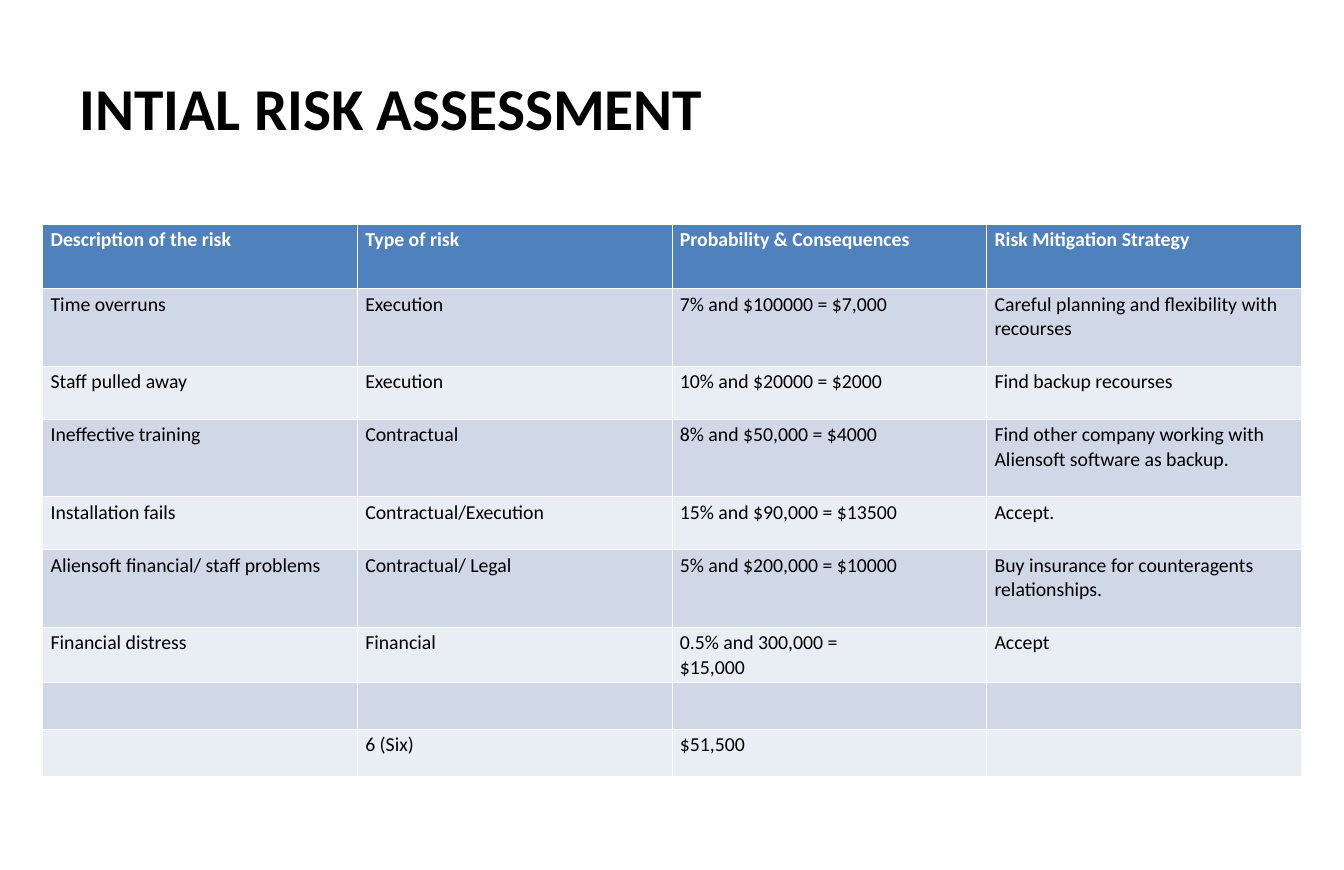
from dataclasses import dataclass
from lxml.etree import SubElement
from pptx import Presentation
from pptx.dml.color import RGBColor as RGB
from pptx.enum.text import MSO_ANCHOR as Anchor
from pptx.oxml.ns import qn
from pptx.util import Inches, Pt

# Content
TITLE = "INTIAL RISK ASSESSMENT"
# Row height in inches, then the cells of the row
ROWS = [
    (0.82, ["Description of the risk", "Type of risk",
            "Probability & Consequences", "Risk Mitigation Strategy"]),
    (0.98, ["Time overruns", "Execution", "7% and $100000 = $7,000",
            "Careful planning and flexibility with recourses"]),
    (0.67, ["Staff pulled away", "Execution", "10% and $20000 = $2000",
            "Find backup recourses"]),
    (0.98, ["Ineffective training", "Contractual", "8% and $50,000 = $4000",
            "Find other company working with Aliensoft software as backup."]),
    (0.67, ["Installation fails", "Contractual/Execution",
            "15% and $90,000 = $13500", "Accept."]),
    (0.98, ["Aliensoft financial/ staff problems", "Contractual/ Legal",
            "5% and $200,000 = $10000",
            "Buy insurance for counteragents relationships."]),
    (0.7, ["Financial distress", "Financial",
           "0.5% and 300,000 =\n$15,000", "Accept"]),
    (0.59, ["", "", "", ""]),
    (0.59, ["", "6 (Six)", "$51,500", ""]),
]
COL = 3.98


@dataclass
class Theme:
    font: str = "Calibri"
    title: int = 54
    body: int = 18
    ink: str = "000000"
    white: str = "FFFFFF"
    head: str = "4F81BD"
    bands: tuple = ("D0D8E8", "E9EDF4")
    thin: float = 0.45
    thick: float = 1.47


THEME = Theme()


def style(frame, size, color, bold):
    for para in frame.paragraphs:
        font = para.font
        font.name, font.size, font.bold = THEME.font, Pt(size), bold
        font.color.rgb = RGB.from_string(color)


def edge(cell, side, width):
    props = cell._tc.get_or_add_tcPr()
    line = SubElement(props, qn(f"a:ln{side}"), w=str(Pt(width)))
    fill = SubElement(line, qn("a:solidFill"))
    SubElement(fill, qn("a:srgbClr"), val=THEME.white)


def add_title(slide):
    box = slide.shapes.add_textbox(
        Inches(0.85), Inches(0.44), Inches(15.3), Inches(1.83))
    frame = box.text_frame
    frame.word_wrap = True
    frame.vertical_anchor = Anchor.MIDDLE
    frame.margin_left = frame.margin_right = Inches(0.16)
    frame.margin_top = frame.margin_bottom = Inches(0.08)
    frame.text = TITLE
    style(frame, THEME.title, THEME.ink, True)


def add_risks(slide):
    count = len(ROWS[0][1])
    high = sum(height for height, _ in ROWS)
    table = slide.shapes.add_table(
        len(ROWS), count, Inches(0.54), Inches(2.83),
        Inches(COL * count), Inches(high)).table
    table.first_row = table.horz_banding = False
    for col in table.columns:
        col.width = Inches(COL)
    for r, (height, texts) in enumerate(ROWS):
        table.rows[r].height = Inches(height)
        head = r == 0
        back = THEME.head if head else THEME.bands[(r - 1) % 2]
        # Thick rule between the header and the first risk
        widths = {"L": THEME.thin, "R": THEME.thin,
                  "T": THEME.thick if r == 1 else THEME.thin,
                  "B": THEME.thick if head else THEME.thin}
        for c, text in enumerate(texts):
            cell = table.cell(r, c)
            for side, width in widths.items():
                edge(cell, side, width)
            cell.fill.solid()
            cell.fill.fore_color.rgb = RGB.from_string(back)
            cell.text = text
            style(cell.text_frame, THEME.body,
                  THEME.white if head else THEME.ink, head)


def main():
    deck = Presentation()
    deck.slide_width, deck.slide_height = Inches(17), Inches(11)
    slide = deck.slides.add_slide(deck.slide_layouts[6])
    add_title(slide)
    add_risks(slide)
    deck.save("out.pptx")


if __name__ == "__main__":
    main()
